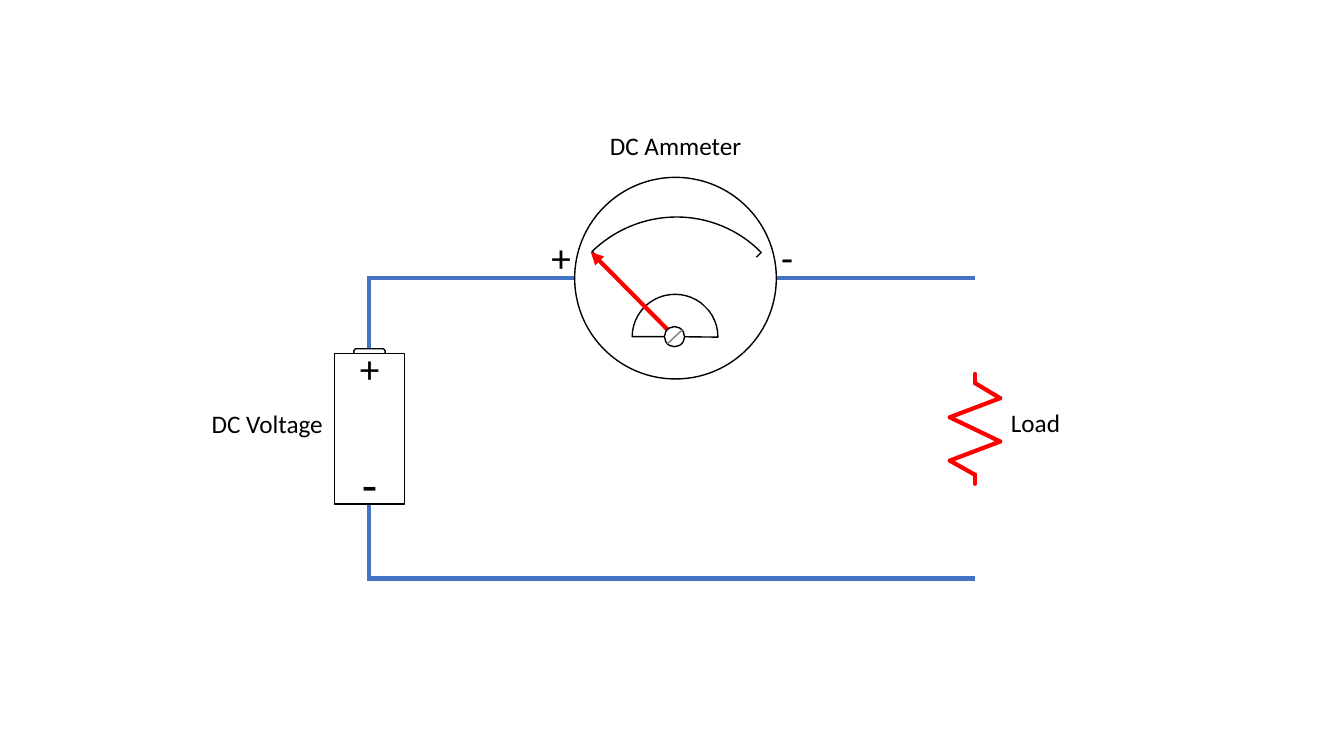
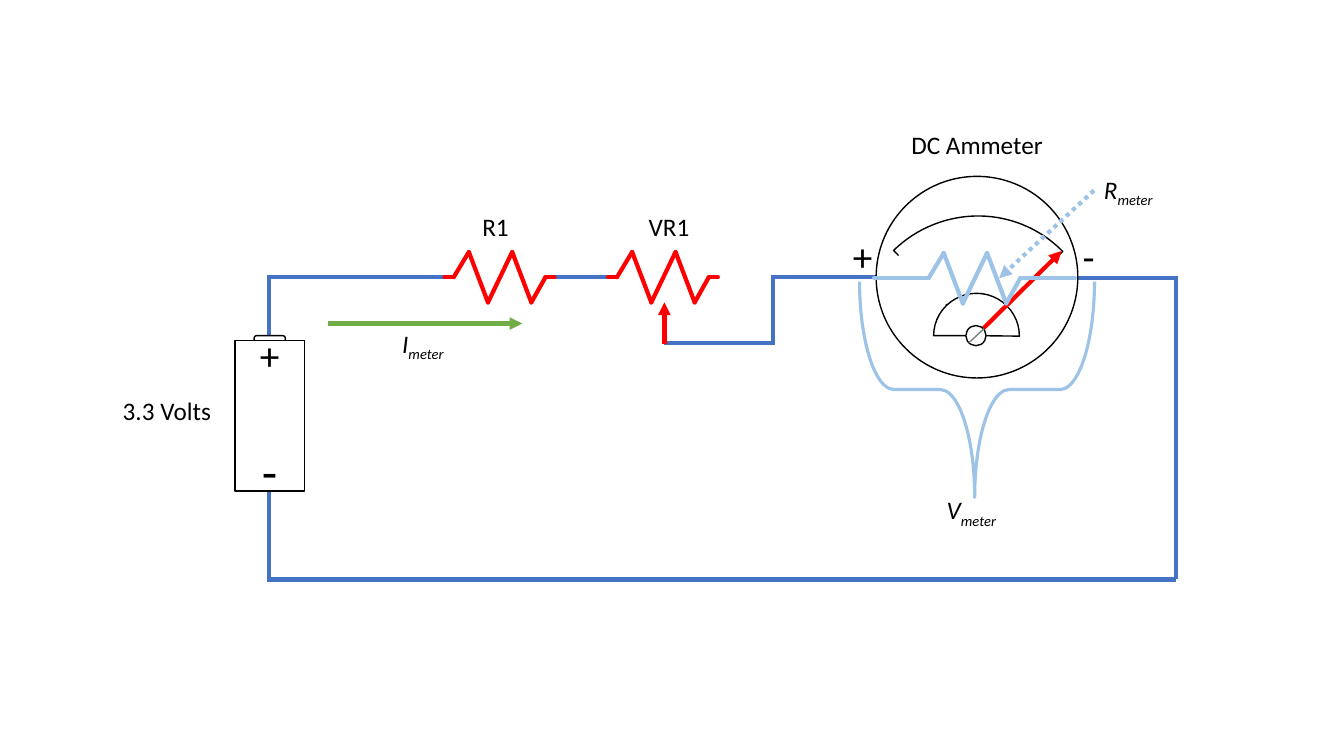
import itertools

import lxml.etree
import pptx
import pptx.dml.color
import pptx.enum.dml
import pptx.enum.shapes
import pptx.enum.text
import pptx.oxml.ns
import pptx.util

Inches = pptx.util.Inches
Pt = pptx.util.Pt
SHAPE = pptx.enum.shapes.MSO_SHAPE
ALIGN = pptx.enum.text.PP_ALIGN

FONT = "Calibri"
BLACK, WHITE, GRAY = "000000", "FFFFFF", "808080"
WIRE, RED, PALE, GREEN = "4472C4", "FF0000", "9DC3E6", "70AD47"

# Resistor outline: (distance along the axis, distance across it)
ZIGZAG = [(0.09, 0), (0.24, 0.25), (0.43, -0.25), (0.67, 0.25), (0.86, -0.25), (1, 0)]
LEAD = 0.09

CIRCUITS = [
    {
        "wires": [
            [(7.7, 2.76), (9.67, 2.76)],
            [(3.66, 5), (3.66, 5.74), (9.67, 5.74)],
            [(5.7, 2.76), (3.66, 2.76), (3.66, 3.51)],
        ],
        "battery": {"left": 3.32, "top": 3.51, "label": ("DC Voltage", 1.99, 4, 1.32)},
        "meter": {"cx": 6.7, "cy": 2.76, "side": -1},
        "resistors": [
            {"x": 9.67, "y": 3.71, "vertical": True, "label": ("Load", 9.92, 3.99, 0.7)},
        ],
        "arrows": [],
        "braces": [],
        "labels": [],
    },
    {
        "wires": [
            [(2.67, 3.38), (2.67, 2.75), (4.41, 2.75)],
            [(10.69, 2.76), (11.66, 2.76), (11.66, 5.74)],
            [(2.67, 4.87), (2.67, 5.75), (11.66, 5.75)],
            [(8.69, 2.75), (7.67, 2.75), (7.67, 3.4), (6.59, 3.4)],
            [(6.04, 2.75), (5.5, 2.75)],
        ],
        "battery": {"left": 2.33, "top": 3.38, "label": ("3.3 Volts", 1.11, 3.87, 1.09)},
        "meter": {"cx": 9.69, "cy": 2.75, "side": 1},
        "resistors": [
            {"x": 6.03, "y": 2.75, "label": ("VR1", 6.33, 2.05, 0.61)},
            {"x": 4.41, "y": 2.75, "label": ("R1", 4.68, 2.05, 0.47)},
            {"x": 9.12, "y": 2.76, "color": PALE, "lead": 0.54,
             "label": ("R_meter", 10.85, 1.68, 0.74)},
        ],
        "arrows": [
            {"start": (6.59, 3.41), "end": (6.59, 3), "color": RED},
            {"start": (10.85, 1.89), "end": (9.91, 2.76), "color": PALE, "dotted": True},
            {"start": (3.25, 3.21), "end": (5.18, 3.21), "color": GREEN},
        ],
        "braces": [(8.62, 2.7, 2.14, 2.33)],
        "labels": [("V_meter", 9.29, 4.86, 0.74), ("I_meter", 3.89, 3.21, 0.67)],
    },
]


def rgb(value):
    return pptx.dml.color.RGBColor.from_string(value)


def add_to(parent, tag, **attributes):
    return lxml.etree.SubElement(parent, pptx.oxml.ns.qn(tag), **attributes)


def style_line(part, color, width):
    part.line.color.rgb = rgb(color)
    part.line.width = Pt(width)


def style_run(run, size):
    run.font.name = FONT
    run.font.size = Pt(size)
    run.font.color.rgb = rgb(BLACK)


def add_outline(shapes, kind, left, top, width, height, fill=WHITE, color=BLACK,
                weight=1, rotation=0, adjust=()):
    outline = shapes.add_shape(kind, Inches(left), Inches(top), Inches(width), Inches(height))
    outline.shadow.inherit = False
    outline.rotation = rotation
    for index, value in enumerate(adjust):
        outline.adjustments[index] = value
    if fill:
        outline.fill.solid()
        outline.fill.fore_color.rgb = rgb(fill)
    else:
        outline.fill.background()
    style_line(outline, color, weight)
    return outline


def add_line(shapes, start, end, color, weight=3, arrow=False, dotted=False, cap="flat"):
    line = shapes.add_connector(pptx.enum.shapes.MSO_CONNECTOR.STRAIGHT,
                                *(Inches(value) for value in (*start, *end)))
    style_line(line, color, weight)
    if dotted:
        line.line.dash_style = pptx.enum.dml.MSO_LINE.ROUND_DOT
    ln = line.line._get_or_add_ln()
    ln.set("cap", cap)
    if arrow:
        add_to(ln, "a:tailEnd", type="triangle")
    add_to(line._element.spPr, "a:effectLst")


def add_wire(shapes, points):
    if len(points) == 2:
        add_line(shapes, *points, WIRE)
        return
    corners = [(Inches(x), Inches(y)) for x, y in points]
    builder = shapes.build_freeform(*corners[0])
    builder.add_line_segments(corners[1:], close=False)
    wire = builder.convert_to_shape()
    wire.shadow.inherit = False
    wire.fill.background()
    style_line(wire, WIRE, 3)
    add_to(wire.line._get_or_add_ln(), "a:miter")


def add_label(shapes, text, left, top, width, height=0.4, size=18, align=ALIGN.CENTER):
    """Add a text box; "X_sub" is set left in italics, with sub as a subscript."""
    box = shapes.add_textbox(Inches(left), Inches(top), Inches(width), Inches(height))
    frame = box.text_frame
    frame.word_wrap = False
    frame.auto_size = pptx.enum.text.MSO_AUTO_SIZE.SHAPE_TO_FIT_TEXT
    paragraph = frame.paragraphs[0]
    symbol, _, subscript = text.partition("_")
    paragraph.text = symbol
    paragraph.alignment = ALIGN.LEFT if subscript else align
    if subscript:
        lowered = paragraph.add_run()
        lowered.text = subscript
        lowered.font._element.set("baseline", "-25000")
    for run in paragraph.runs:
        style_run(run, size)
        if subscript:
            run.font.italic = True


def add_battery(shapes, left, top, label):
    add_outline(shapes, SHAPE.ROUNDED_RECTANGLE, left + 0.19, top - 0.05, 0.31, 0.15)
    cell = add_outline(shapes, SHAPE.RECTANGLE, left, top, 0.69, 1.49)
    frame = cell.text_frame
    frame.vertical_anchor = pptx.enum.text.MSO_ANCHOR.MIDDLE
    frame.text = "+\n-"
    for paragraph, size in zip(frame.paragraphs, (28, 36)):
        paragraph.alignment = ALIGN.CENTER
        style_run(paragraph.runs[0], size)
    frame.paragraphs[1].space_before = Pt(44)
    add_label(shapes, *label)


def add_meter(shapes, cx, cy, side):
    """Draw the ammeter; side is -1 for a needle at the left end, 1 for the right."""
    def at(x, y):
        return cx + x, cy + y

    add_outline(shapes, SHAPE.PIE, *at(-1.2, -0.6), 2.39, 2.36,
                rotation=135, adjust=(54.47, 108.38))
    add_outline(shapes, SHAPE.OVAL, *at(-1, -1), 2, 2, fill=None)
    add_outline(shapes, SHAPE.PIE, *at(-0.43, 0.16), 0.85, 0.84,
                rotation=180, adjust=(0, 108.38))
    add_line(shapes, at(0.3, 0.28), at(0.8, -0.21), WHITE, 6)
    add_line(shapes, at(-0.3, 0.26), at(-0.78, -0.21), WHITE, 6)
    add_line(shapes, at(-0.01, 0.58), at(side * 0.84, -0.26), RED, arrow=True)
    add_outline(shapes, SHAPE.OVAL, *at(-0.11, 0.48), 0.2, 0.2)
    add_line(shapes, at(-0.08, 0.65), at(0.07, 0.51), GRAY, 1)
    add_label(shapes, "+", *at(-1.33, -0.49), 0.4, 0.57, 28, ALIGN.LEFT)
    add_label(shapes, "-", *at(0.95, -0.49), 0.32, 0.57, 28, ALIGN.LEFT)
    add_label(shapes, "DC Ammeter", *at(-0.76, -1.52), 1.52)


def add_resistor(shapes, x, y, label, vertical=False, color=RED, lead=LEAD):
    track = [(ZIGZAG[0][0] - lead, 0), *ZIGZAG, (ZIGZAG[-1][0] + lead, 0)]
    points = [(x + across, y + along) if vertical else (x + along, y - across)
              for along, across in track]
    for start, end in itertools.pairwise(points):
        add_line(shapes, start, end, color, cap="rnd")
    add_label(shapes, *label)


def build_slide(deck, circuit):
    shapes = deck.slides.add_slide(deck.slide_layouts[6]).shapes
    for points in circuit["wires"]:
        add_wire(shapes, points)
    add_battery(shapes.add_group_shape().shapes, **circuit["battery"])
    add_meter(shapes.add_group_shape().shapes, **circuit["meter"])
    for resistor in circuit["resistors"]:
        add_resistor(shapes.add_group_shape().shapes, **resistor)
    for arrow in circuit["arrows"]:
        add_line(shapes, **arrow, arrow=True)
    for brace in circuit["braces"]:
        add_outline(shapes, SHAPE.RIGHT_BRACE, *brace, fill=None, color=PALE,
                    weight=2.25, rotation=90, adjust=(0.16, 0.51))
    for label in circuit["labels"]:
        add_label(shapes, *label)


def main():
    deck = pptx.Presentation()
    deck.slide_width = Inches(13.33)
    deck.slide_height = Inches(7.5)
    for circuit in CIRCUITS:
        build_slide(deck, circuit)
    deck.save("out.pptx")


if __name__ == "__main__":
    main()
